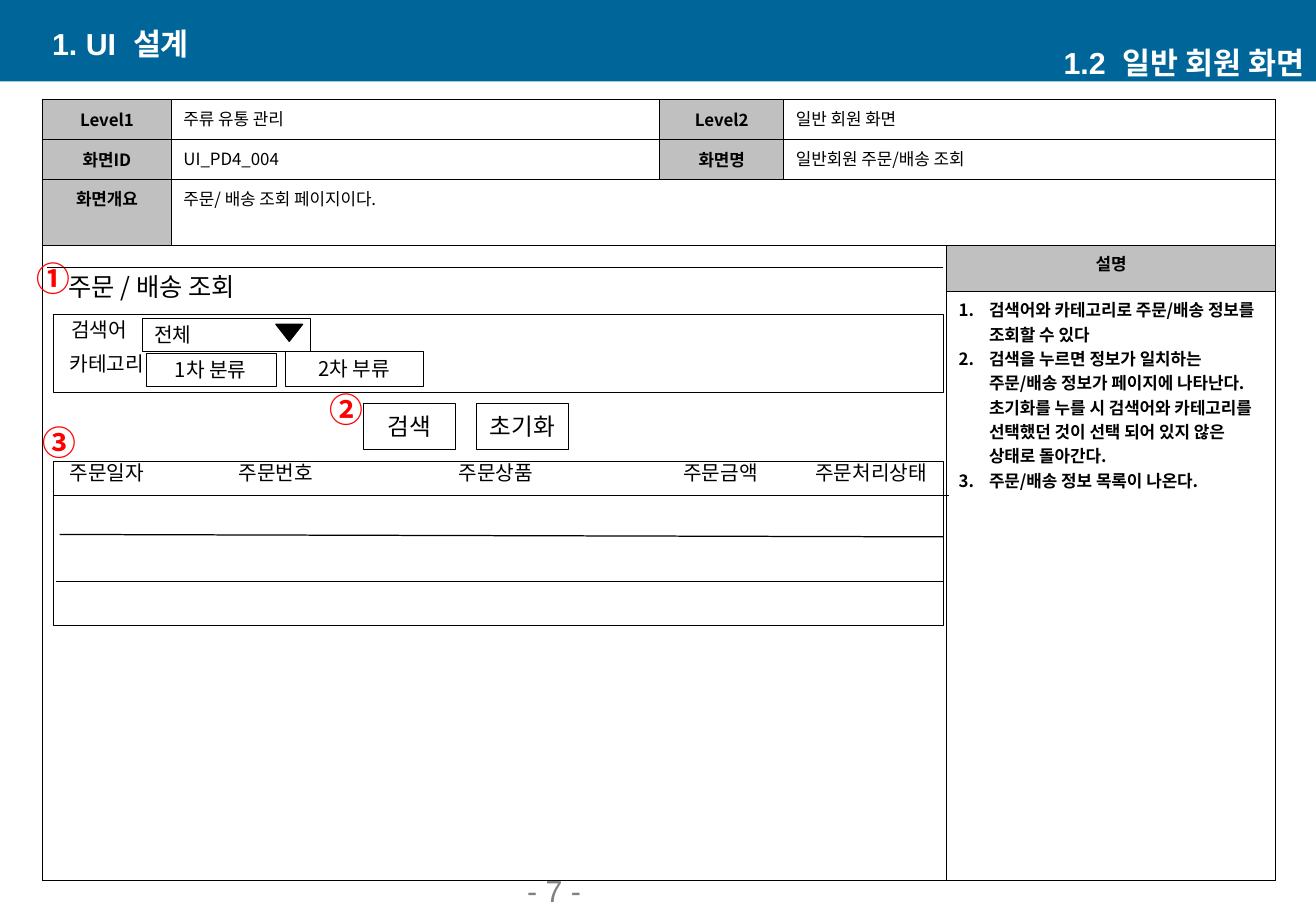
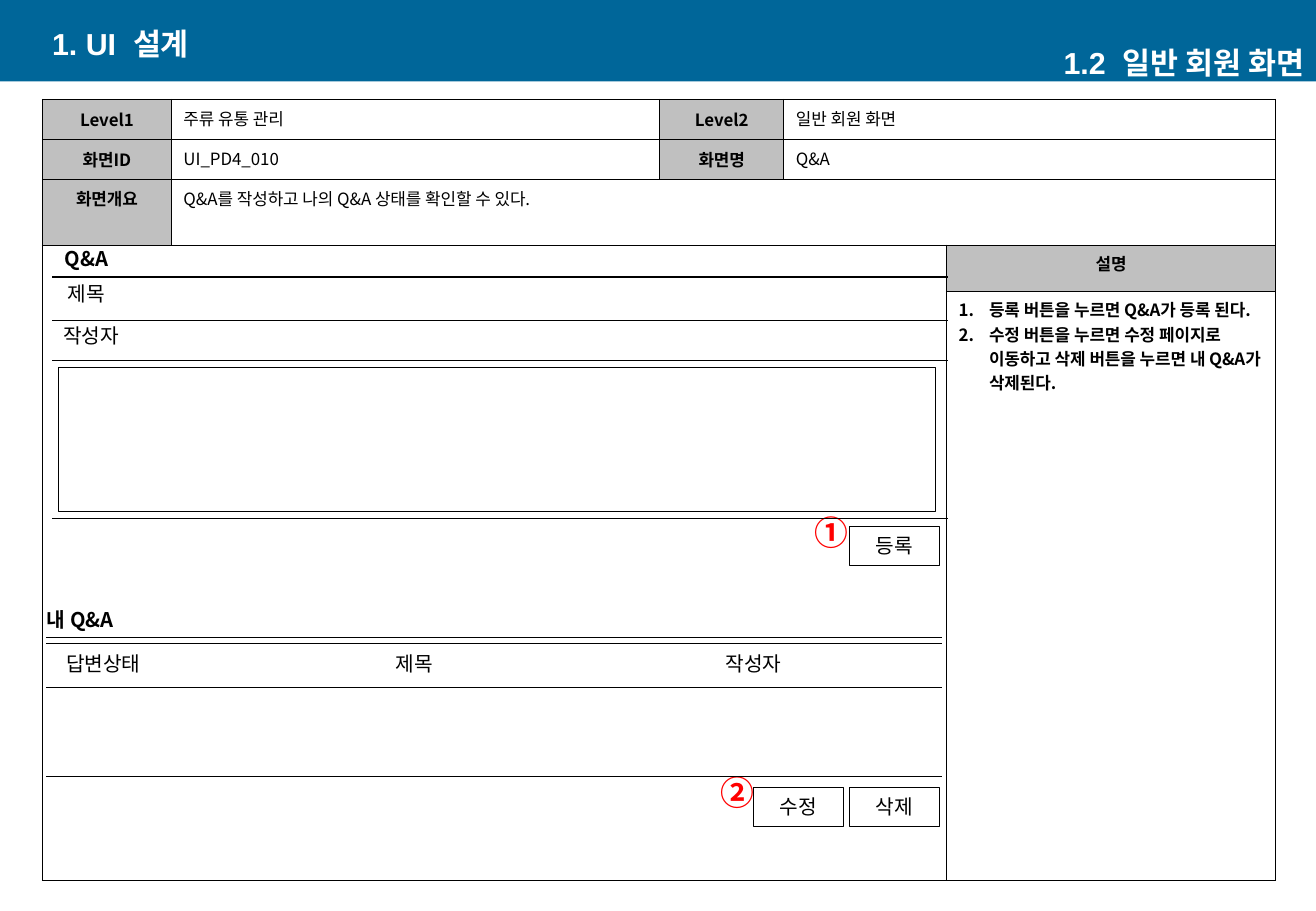
from lxml import etree
from pptx import Presentation
from pptx import util as u
from pptx.dml import color
from pptx.enum import shapes, text
from pptx.oxml import ns

# Shared look; every length is counted in squares of a 0.1 inch grid
COLORS = {"band": "006699", "head": "C0C0C0", "ink": "000000",
          "paper": "FFFFFF", "mark": "FF0000", "number": "808080"}
LATIN, KOREAN = "Arial", "Noto Sans CJK KR"
SQUARE = 0.1
PAGE_WIDTH, PAGE_HEIGHT, BAND_HEIGHT = 108.3, 75, 6.7
FORM_LEFT, FORM_TOP = 3.5, 8.2
FORM_COLUMNS = (10.6, 40.2, 10.2, 13.4, 27.1)
FORM_ROWS = (3.3, 3.3, 5.4, 3.8, 48.5)
LABEL_HEIGHT = 3
LEFT, CENTER, RIGHT = text.PP_ALIGN.LEFT, text.PP_ALIGN.CENTER, text.PP_ALIGN.RIGHT
TOP, MIDDLE, BOTTOM = text.MSO_ANCHOR.TOP, text.MSO_ANCHOR.MIDDLE, text.MSO_ANCHOR.BOTTOM


def grid(*counts):
    return [u.Inches(count * SQUARE) for count in counts]


def rgb(name):
    return color.RGBColor.from_string(COLORS[name])


# Text
def add_span(para, words, size, ink="ink", bold=False, face=KOREAN):
    span = para.add_run()
    span.text = words
    span.font.size = u.Pt(size)
    span.font.bold = bold
    span.font.color.rgb = rgb(ink)
    span.font.name = face
    etree.SubElement(span._r.get_or_add_rPr(), ns.qn("a:ea"), typeface=KOREAN)
    return span


def set_frame(frame, anchor, side=1, end=0.5):
    frame.word_wrap = True
    frame.vertical_anchor = anchor
    frame.margin_left, frame.margin_right = grid(side, side)
    frame.margin_top, frame.margin_bottom = grid(end, end)


def add_text_box(page, spot, align=LEFT, anchor=MIDDLE, side=1, end=0.5):
    box = page.shapes.add_textbox(*grid(*spot))
    set_frame(box.text_frame, anchor, side, end)
    para = box.text_frame.paragraphs[0]
    para.alignment = align
    return para


def add_label(page, left, top, width, words, size=12, bold=False, ink="ink",
              height=LABEL_HEIGHT):
    para = add_text_box(page, (left, top, width, height), CENTER, TOP, 0, 0)
    add_span(para, words, size, ink, bold)


def add_mark(page, left, top, sign):
    add_label(page, left, top, 4.4, sign, 20, True, "mark", 4.4)


# Shapes and lines
def add_block(page, kind, spot, fill=None, line=None):
    block = page.shapes.add_shape(kind, *grid(*spot))
    block.shadow.inherit = False
    if fill:
        block.fill.solid()
        block.fill.fore_color.rgb = rgb(fill)
    else:
        block.fill.background()
    if line:
        block.line.color.rgb = rgb("ink")
        block.line.width = u.Pt(line)
    else:
        block.line.fill.background()
    return block


def add_field(page, spot, words="", size=12, align=CENTER):
    field = add_block(page, shapes.MSO_SHAPE.RECTANGLE, spot, line=0.25)
    if words:
        set_frame(field.text_frame, MIDDLE)
        para = field.text_frame.paragraphs[0]
        para.alignment = align
        add_span(para, words, size)


def add_rule(page, left, top, right, end=None):
    rule = page.shapes.add_connector(
        shapes.MSO_CONNECTOR.STRAIGHT,
        *grid(left, top, right, top if end is None else end))
    rule.line.color.rgb = rgb("ink")
    rule.line.width = u.Pt(0.75)
    etree.SubElement(rule._element.spPr, ns.qn("a:effectLst"))


# Form table
def style_cell(cell):
    properties = cell._tc.get_or_add_tcPr()
    for side in ("lnL", "lnR", "lnT", "lnB"):
        edge = etree.SubElement(properties, ns.qn("a:" + side), w=str(u.Pt(1)))
        fill = etree.SubElement(edge, ns.qn("a:solidFill"))
        etree.SubElement(fill, ns.qn("a:srgbClr"), val=COLORS["ink"])
    cell.fill.background()
    cell.text_frame.paragraphs[0]._p.get_or_add_endParaRPr().set("sz", "1000")


def fill_cell(cell, words, heading=False, anchor=TOP):
    cell.vertical_anchor = anchor
    para = cell.text_frame.paragraphs[0]
    if heading:
        cell.fill.solid()
        cell.fill.fore_color.rgb = rgb("head")
        para.alignment = CENTER
    add_span(para, words, 10, bold=heading)


def add_notes_list(cell, notes):
    frame = cell.text_frame
    for index, note in enumerate(notes):
        para = frame.add_paragraph() if index else frame.paragraphs[0]
        properties = para._p.get_or_add_pPr()
        hang = u.Inches(0.25)
        properties.set("marL", str(hang))
        properties.set("indent", str(-hang))
        etree.SubElement(properties, ns.qn("a:buAutoNum"), type="arabicPeriod")
        add_span(para, note, 10, bold=True)


def add_form(page, code, name, summary, notes):
    table = page.shapes.add_table(
        len(FORM_ROWS), len(FORM_COLUMNS),
        *grid(FORM_LEFT, FORM_TOP, sum(FORM_COLUMNS), sum(FORM_ROWS))).table
    table.first_row = table.horz_banding = False
    for column, width in zip(table.columns, grid(*FORM_COLUMNS)):
        column.width = width
    for row, height in zip(table.rows, grid(*FORM_ROWS)):
        row.height = height
    for cell in table.iter_cells():
        style_cell(cell)
    for first, last in (((0, 3), (0, 4)), ((1, 3), (1, 4)),
                        ((2, 1), (2, 4)), ((3, 0), (4, 3))):
        table.cell(*first).merge(table.cell(*last))
    pairs = ((0, 0, "Level1", "주류 유통 관리"), (0, 2, "Level2", "일반 회원 화면"),
             (1, 0, "화면ID", code), (1, 2, "화면명", name),
             (2, 0, "화면개요", summary))
    for row, column, heading, value in pairs:
        fill_cell(table.cell(row, column), heading, True, TOP if row == 2 else MIDDLE)
        fill_cell(table.cell(row, column + 1), value)
    fill_cell(table.cell(3, 4), "설명", True)
    add_notes_list(table.cell(4, 4), notes)


# Page frame: band and its two titles
def add_title(page, left, top, align, number, words):
    para = add_text_box(page, (left, top, 43.8, 3.3), align)
    for part in (number, " ", words):
        span = add_span(para, part, 18, "paper", True, LATIN)
        if part == " ":
            span._r.get_or_add_rPr().set("spc", "500")


def add_page(deck):
    page = deck.slides.add_slide(deck.slide_layouts[6])
    add_block(page, shapes.MSO_SHAPE.RECTANGLE, (0, 0, PAGE_WIDTH, BAND_HEIGHT), "band")
    add_title(page, 3.3, 1.9, LEFT, "1. UI", "설계")
    add_title(page, 64.5, 3.5, RIGHT, "1.2", "일반 회원 화면")
    return page


def build_order_page(deck):
    page = add_page(deck)
    number = add_text_box(page, (42.4, 73, 22.6, 2.3), anchor=BOTTOM)
    add_span(number, "- 7 -", 18, "number", face=LATIN)
    add_form(page, "UI_PD4_004", "일반회원 주문/배송 조회", "주문/ 배송 조회 페이지이다.", (
        "검색어와 카테고리로 주문/배송 정보를 조회할 수 있다",
        "검색을 누르면 정보가 일치하는 주문/배송 정보가 페이지에 나타난다. "
        "초기화를 누를 시 검색어와 카테고리를 선택했던 것이 선택 되어 있지 않은 "
        "상태로 돌아간다.",
        "주문/배송 정보 목록이 나온다."))
    for mark in ((2.7, 34.7, "③"), (26.3, 32, "②"), (2.2, 21.2, "①")):
        add_mark(page, *mark)

    # Search panel
    add_rule(page, 3.9, 22, 77.6)
    add_label(page, 3, 22.3, 19, "주문 / 배송 조회", 15, height=3.5)
    add_field(page, (4.4, 25.9, 73.2, 6.4))
    add_label(page, 4.6, 26.1, 7.1, "검색어")
    add_label(page, 4.6, 28.9, 8.4, "카테고리")
    add_field(page, (11.7, 26.2, 13.8, 2.7), "전체", align=LEFT)
    arrow = add_block(page, shapes.MSO_SHAPE.ISOSCELES_TRIANGLE,
                      (22.7, 26.7, 2.2, 1.4), "ink", 0.75)
    arrow.rotation = 180
    add_field(page, (12, 29.1, 10.7, 2.7), "1차 분류")
    add_field(page, (23.5, 28.9, 11.3, 2.9), "2차 부류")
    for left, words in ((29.9, "검색"), (39.2, "초기화")):
        add_field(page, (left, 33.2, 7.6, 3.8), words, 14)

    # Order list
    add_field(page, (4.4, 38, 73.2, 13.5))
    for left, width, words in ((4.6, 8.4, "주문일자"), (18.6, 8.2, "주문번호"),
                               (36.3, 9, "주문상품"), (55.1, 8.4, "주문금액"),
                               (65.2, 13, "주문처리상태")):
        add_label(page, left, 37.9, width, words)
    add_rule(page, 4.4, 40.8, 78.1)
    add_rule(page, 4.9, 44, 77.6, 44.2)
    add_rule(page, 4.6, 47.9, 77.6)


def build_question_page(deck):
    page = add_page(deck)
    add_form(page, "UI_PD4_010", "Q&A", "Q&A를 작성하고 나의 Q&A 상태를 확인할 수 있다.", (
        "등록 버튼을 누르면 Q&A가 등록 된다.",
        "수정 버튼을 누르면 수정 페이지로 이동하고 삭제 버튼을 누르면 내 Q&A가 삭제된다."))
    add_mark(page, 58.5, 63.5, "②")
    add_mark(page, 66.2, 42.1, "①")

    # Rules of the entry form, then of the list
    rule_width = 73.7
    for left, tops in ((4.3, (22.8, 26.4, 29.7, 42.7)),
                       (3.8, (52.5, 53, 56.6, 63.9))):
        for top in tops:
            add_rule(page, left, top, left + rule_width)

    # Labels, entry field and buttons
    for left, top, words, bold in (
            (0, 20.3, "Q&A", True), (0, 23.2, "제목", False),
            (0.4, 26.6, "작성자", False), (-0.5, 50, "내 Q&A", True),
            (1.4, 53.6, "답변상태", False), (27, 53.6, "제목", False),
            (54.9, 53.6, "작성자", False)):
        add_label(page, left, top, 14.2, words, bold=bold)
    add_field(page, (4.8, 30.2, 72.2, 11.9))
    for left, top, words in ((69.9, 43.3, "등록"), (62, 64.8, "수정"), (69.9, 64.8, "삭제")):
        add_field(page, (left, top, 7.4, 3.2), words)


def main():
    deck = Presentation()
    deck.slide_width, deck.slide_height = grid(PAGE_WIDTH, PAGE_HEIGHT)
    build_order_page(deck)
    build_question_page(deck)
    deck.save("out.pptx")


if __name__ == "__main__":
    main()
